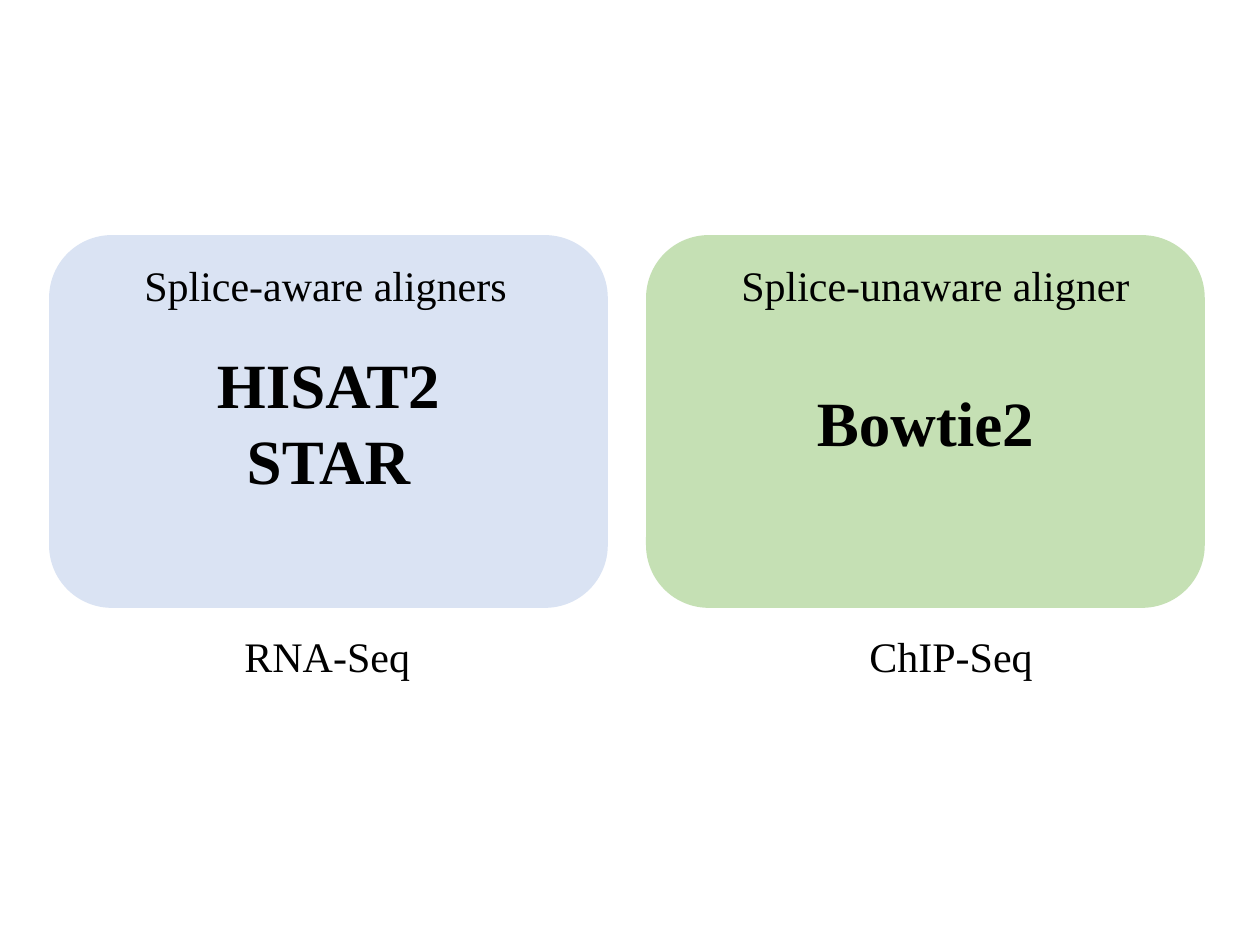
from pptx import Presentation
from pptx.dml.color import RGBColor
from pptx.enum.shapes import MSO_SHAPE
from pptx.enum.text import MSO_ANCHOR, PP_ALIGN
from pptx.util import Pt

PX = 914400 // 126  # EMU per px
BLACK = RGBColor(0x00, 0x00, 0x00)
BLUE = RGBColor(0xDA, 0xE3, 0xF3)
GREEN = RGBColor(0xC5, 0xE0, 0xB4)
FONT = "Times New Roman"

# Content: each label is (text, left offset within its panel, width)
PANELS = [
    {"fill": BLUE, "tools": ["HISAT2", "STAR"],
     "heading": ("Splice-aware aligners", 82, 392),
     "assay": ("RNA-Seq", 182, 193)},
    {"fill": GREEN, "tools": ["Bowtie2"],
     "heading": ("Splice-unaware aligner", 82, 433),
     "assay": ("ChIP-Seq", 210, 190)},
]

# Layout in px
PANEL_LEFT, PANEL_TOP = 50, 236
PANEL_WIDTH, PANEL_HEIGHT = 557, 371
PANEL_STEP = 597
HEADING_TOP, ASSAY_TOP, LABEL_HEIGHT = 253, 624, 63


def format_paragraph(paragraph, text, size, bold=False):
    paragraph.text = text
    paragraph.font.name = FONT
    paragraph.font.size = Pt(size)
    paragraph.font.bold = bold
    paragraph.font.color.rgb = BLACK


def add_panel(slide, left, fill, tools):
    shape = slide.shapes.add_shape(
        MSO_SHAPE.ROUNDED_RECTANGLE, left * PX, PANEL_TOP * PX,
        PANEL_WIDTH * PX, PANEL_HEIGHT * PX)
    shape.shadow.inherit = False
    shape.fill.solid()
    shape.fill.fore_color.rgb = fill
    shape.line.color.rgb = fill
    shape.line.width = Pt(1)
    frame = shape.text_frame
    frame.vertical_anchor = MSO_ANCHOR.MIDDLE
    for index, tool in enumerate(tools):
        paragraph = frame.add_paragraph() if index else frame.paragraphs[0]
        format_paragraph(paragraph, tool, 36, bold=True)
        paragraph.alignment = PP_ALIGN.CENTER


def add_label(slide, panel_left, top, label):
    text, offset, width = label
    box = slide.shapes.add_textbox(
        (panel_left + offset) * PX, top * PX, width * PX, LABEL_HEIGHT * PX)
    box.text_frame.word_wrap = False
    format_paragraph(box.text_frame.paragraphs[0], text, 24)


def main():
    presentation = Presentation()
    presentation.slide_width = 1260 * PX
    presentation.slide_height = 945 * PX
    slide = presentation.slides.add_slide(presentation.slide_layouts[6])

    # One coloured panel per aligner type, heading inside, assay below
    for index, panel in enumerate(PANELS):
        left = PANEL_LEFT + index * PANEL_STEP
        add_panel(slide, left, panel["fill"], panel["tools"])
        add_label(slide, left, HEADING_TOP, panel["heading"])
        add_label(slide, left, ASSAY_TOP, panel["assay"])

    presentation.save("out.pptx")


if __name__ == "__main__":
    main()
